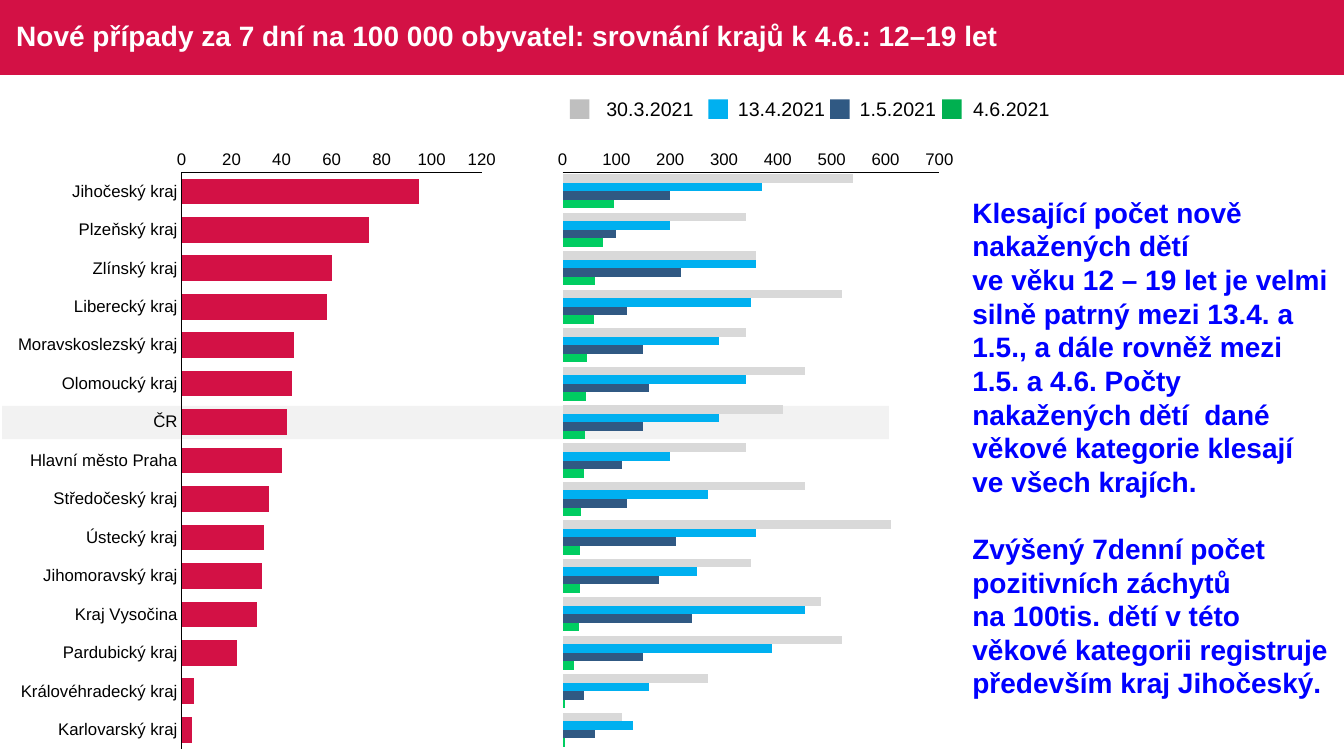
from lxml.etree import SubElement
from pptx import Presentation
from pptx.chart.data import CategoryChartData
from pptx.dml.color import RGBColor
from pptx.enum.chart import XL_CHART_TYPE, XL_TICK_MARK
from pptx.enum.shapes import MSO_SHAPE
from pptx.enum.text import MSO_ANCHOR
from pptx.oxml.ns import qn
from pptx.util import Pt

FONT = "Arial"
CRIMSON = "D31145"
REGIONS = [
    "Jihočeský kraj", "Plzeňský kraj", "Zlínský kraj", "Liberecký kraj",
    "Moravskoslezský kraj", "Olomoucký kraj", "ČR", "Hlavní město Praha",
    "Středočeský kraj", "Ústecký kraj", "Jihomoravský kraj", "Kraj Vysočina",
    "Pardubický kraj", "Královéhradecký kraj", "Karlovarský kraj",
]
RATES = [95, 75, 60, 58, 45, 44, 42, 40, 35, 33, 32, 30, 22, 5, 4]
LATEST = [("4.6.2021", CRIMSON, RATES)]
TREND = [
    ("30.3.2021", "D9D9D9",
     [540, 340, 360, 520, 340, 450, 410, 340, 450, 610, 350, 480, 520, 270, 110]),
    ("13.4.2021", "00B0F0",
     [370, 200, 360, 350, 290, 340, 290, 200, 270, 360, 250, 450, 390, 160, 130]),
    ("1.5.2021", "305983",
     [200, 100, 220, 120, 150, 160, 150, 110, 120, 210, 180, 240, 150, 40, 60]),
    ("4.6.2021", "00CD61", RATES),
]
LEGEND = [
    ("30.3.2021", "BFBFBF", 407, 426, 77),
    ("13.4.2021", "00B0F0", 506, 520, 77),
    ("1.5.2021", "305983", 593, 607, 69),
    ("4.6.2021", "00B050", 673, 688, 69),
]
NOTES = [
    "Klesající počet nově nakažených dětí",
    "ve věku 12 – 19 let je velmi silně patrný mezi 13.4. a 1.5., a dále rovněž "
    "mezi 1.5. a 4.6. Počty nakažených dětí  dané věkové kategorie klesají "
    "ve všech krajích.",
    "Zvýšený 7denní počet pozitivních záchytů \vna 100tis. dětí v této věkové "
    "kategorii registruje především kraj Jihočeský.",
]


def paint(target, color):
    target.solid()
    target.fore_color.rgb = RGBColor.from_string(color)


def add_rect(slide, box, color):
    rect = slide.shapes.add_shape(MSO_SHAPE.RECTANGLE, *map(Pt, box))
    rect.shadow.inherit = False
    paint(rect.fill, color)
    rect.line.fill.background()


def add_text(slide, box, lines, size=14, color="000000", bold=False,
             wrap=True, anchor=MSO_ANCHOR.TOP, gaps=None, spacing=None):
    frame = slide.shapes.add_textbox(*map(Pt, box)).text_frame
    frame.word_wrap = wrap
    frame.vertical_anchor = anchor
    for i, line in enumerate(lines):
        para = frame.add_paragraph() if i else frame.paragraphs[0]
        para.text = line
        if spacing:
            para.line_spacing = spacing
        if gaps and i in gaps:
            para.space_before = Pt(gaps[i])
        for run in para.runs:
            run.font.name = FONT
            run.font.size = Pt(size)
            run.font.bold = bold
            run.font.color.rgb = RGBColor.from_string(color)


def style_axis(axis):
    axis.has_major_gridlines = False
    axis.major_tick_mark = axis.minor_tick_mark = XL_TICK_MARK.NONE
    axis.format.line.width = Pt(0.75)
    paint(axis.format.line.fill, "000000")
    font = axis.tick_labels.font
    font.name = FONT
    font.size = Pt(12)
    font.color.rgb = RGBColor.from_string("000000")


def place_plot(chart, left, width):
    area = chart._chartSpace.find(".//" + qn("c:plotArea"))
    for old in area.findall(qn("c:layout")):
        area.remove(old)
    layout = SubElement(area, qn("c:layout"))
    area.insert(0, layout)
    manual = SubElement(layout, qn("c:manualLayout"))
    parts = [("layoutTarget", "inner"), ("xMode", "edge"), ("yMode", "edge"),
             ("x", left), ("y", 0.055), ("w", width), ("h", 0.925)]
    for name, value in parts:
        SubElement(manual, qn("c:" + name)).set("val", str(value))


def add_bars(slide, box, rows, top, step, plot, labels=True):
    data = CategoryChartData()
    data.categories = REGIONS
    for name, _, values in rows:
        data.add_series(name, values)
    chart = slide.shapes.add_chart(
        XL_CHART_TYPE.BAR_CLUSTERED, *map(Pt, box), data).chart
    chart.has_title = chart.has_legend = False
    chart.font.name = FONT
    chart.font.size = Pt(10)
    chart.font.color.rgb = RGBColor.from_string("000000")
    bars = chart.plots[0]
    bars.vary_by_categories = False
    bars.gap_width = 50
    bars.overlap = 0
    for series, (_, color, _) in zip(bars.series, rows):
        paint(series.format.fill, color)
    style_axis(chart.category_axis)
    style_axis(chart.value_axis)
    chart.category_axis.reverse_order = True
    chart.category_axis.visible = labels
    chart.value_axis.minimum_scale = 0
    chart.value_axis.maximum_scale = top
    chart.value_axis.major_unit = step
    place_plot(chart, *plot)


def main():
    deck = Presentation()
    deck.slide_width, deck.slide_height = Pt(960), Pt(540)
    slide = deck.slides.add_slide(deck.slide_layouts[6])
    add_rect(slide, (0, 0, 960, 53.5), CRIMSON)
    add_rect(slide, (1.5, 290, 633.5, 23.75), "F2F2F2")
    add_bars(slide, (6, 98.5, 355.5, 445.5), LATEST, 120, 20, (0.348, 0.603))
    add_text(slide, (4.5, 0, 864.5, 53.5),
             ["Nové případy za 7 dní na 100 000 obyvatel: "
              "srovnání krajů k 4.6.: 12–19 let"],
             size=20, color="FFFFFF", bold=True, anchor=MSO_ANCHOR.MIDDLE,
             spacing=0.9)
    add_text(slide, (687.5, 136, 270, 371), NOTES, size=20, color="0000FF",
             bold=True, gaps={2: 24})
    add_bars(slide, (393, 98.5, 294.5, 445.5), TREND, 700, 100,
             (0.03, 0.914), labels=False)
    for date, color, key, left, width in LEGEND:
        add_rect(slide, (key, 71, 14, 14), color)
        add_text(slide, (left, 66, width, 24.5), [date], wrap=False)
    deck.save("out.pptx")


if __name__ == "__main__":
    main()
